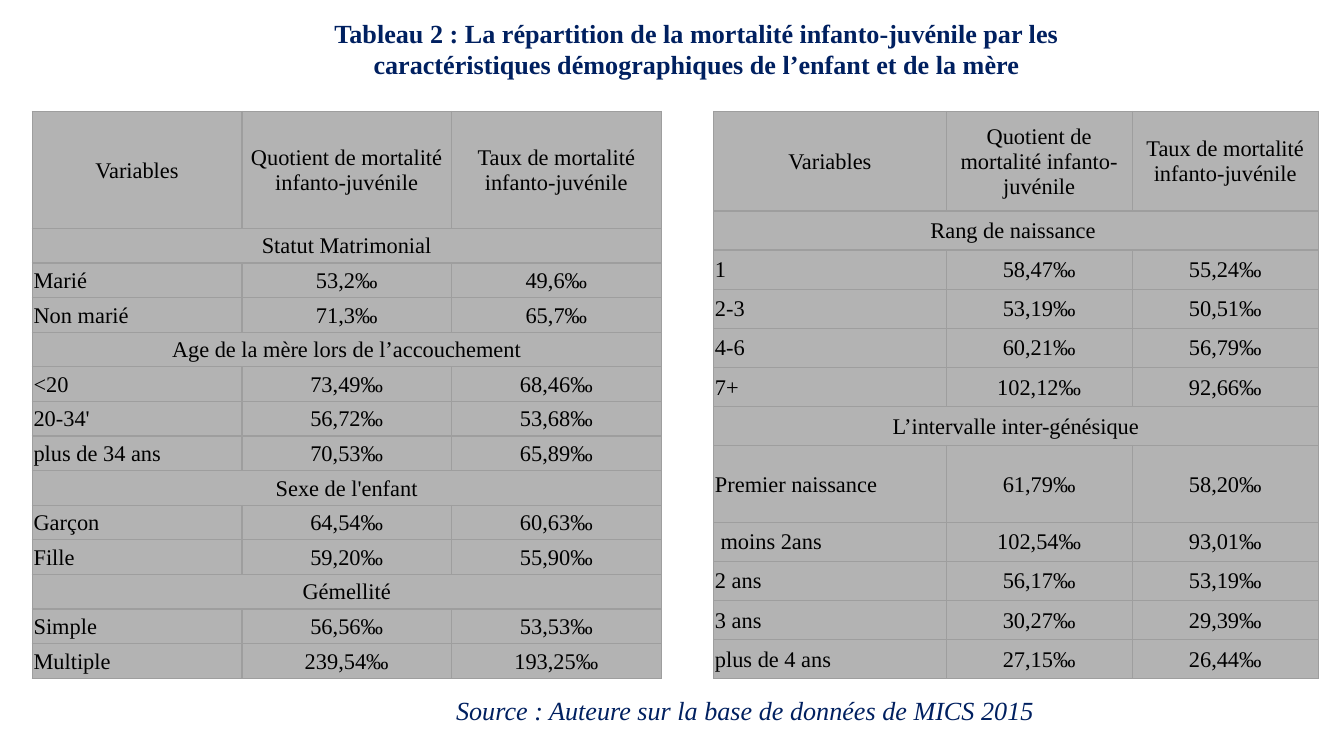
"""Build the slide of infant and child mortality tables."""
import pptx
import pptx.dml.color
import pptx.enum.text
import pptx.oxml
import pptx.oxml.ns
import pptx.util

Inches, Pt = pptx.util.Inches, pptx.util.Pt
RGBColor = pptx.dml.color.RGBColor
ALIGN = pptx.enum.text.PP_ALIGN
MIDDLE = pptx.enum.text.MSO_ANCHOR.MIDDLE

NAVY = RGBColor(0x00, 0x20, 0x60)
BLACK = RGBColor(0, 0, 0)
GREY = RGBColor(0xB3, 0xB3, 0xB3)
EDGE = RGBColor(0x9E, 0x9E, 0x9E)
FONT = "Times New Roman"

TITLE = ("Tableau 2 : La répartition de la mortalité infanto-juvénile par les "
         "caractéristiques démographiques de l’enfant et de la mère")
SOURCE = "Source : Auteure sur la base de données de MICS 2015"
HEAD = ("Variables", "Quotient de mortalité infanto-juvénile",
        "Taux de mortalité infanto-juvénile")
MOTHER = [
    HEAD,
    ("Statut Matrimonial",),
    ("Marié", "53,2‰", "49,6‰"),
    ("Non marié", "71,3‰", "65,7‰"),
    ("Age de la mère lors de l’accouchement",),
    ("<20", "73,49‰", "68,46‰"),
    ("20-34'", "56,72‰", "53,68‰"),
    ("plus de 34 ans", "70,53‰", "65,89‰"),
    ("Sexe de l'enfant",),
    ("Garçon", "64,54‰", "60,63‰"),
    ("Fille", "59,20‰", "55,90‰"),
    ("Gémellité",),
    ("Simple", "56,56‰", "53,53‰"),
    ("Multiple", "239,54‰", "193,25‰"),
]
BIRTH = [
    HEAD,
    ("Rang de naissance ",),
    ("1", "58,47‰", "55,24‰"),
    ("2-3", "53,19‰", "50,51‰"),
    ("4-6", "60,21‰", "56,79‰"),
    ("7+", "102,12‰", "92,66‰"),
    ("L’intervalle inter-génésique",),
    ("Premier naissance", "61,79‰", "58,20‰"),
    (" moins 2ans", "102,54‰", "93,01‰"),
    ("2 ans", "56,17‰", "53,19‰"),
    ("3 ans", "30,27‰", "29,39‰"),
    ("plus de 4 ans", "27,15‰", "26,44‰"),
]
TOP, HIGH = 0.83, 4.22
TABLES = [
    {"rows": MOTHER, "left": 0.24, "wide": 4.68, "first": 1.56, "tall": {0: 0.87}},
    {"rows": BIRTH, "left": 5.31, "wide": 4.5, "first": 1.73, "tall": {0: 0.74, 7: 0.57}},
]


def write(para, text, size, color, align):
    para.text = text
    para.alignment = align
    font = para.font
    font.name, font.size, font.color.rgb = FONT, Pt(size), color
    return para


def add_text(slide, box, text):
    frame = slide.shapes.add_textbox(*map(Inches, box)).text_frame
    frame.word_wrap = True
    return frame, write(frame.paragraphs[0], text, 14, NAVY, ALIGN.CENTER)


def style_cell(cell):
    cell.vertical_anchor = MIDDLE
    cell.margin_left = cell.margin_right = cell.margin_top = Inches(0.01)
    cell.margin_bottom = 0
    props = cell._tc.get_or_add_tcPr()
    for side in "LRTB":
        props.append(pptx.oxml.parse_xml(
            f'<a:ln{side} {pptx.oxml.ns.nsdecls("a")} w="{Pt(0.75)}"><a:solidFill>'
            f'<a:srgbClr val="{EDGE}"/></a:solidFill></a:ln{side}>'))
    cell.fill.solid()
    cell.fill.fore_color.rgb = GREY


def add_grid(slide, rows, left, wide, first, tall):
    count = len(HEAD)
    grid = slide.shapes.add_table(
        len(rows), count, Inches(left), Inches(TOP),
        Inches(wide), Inches(HIGH)).table
    rest = (wide - first) / (count - 1)
    for c, col in enumerate(grid.columns):
        col.width = Inches(rest if c else first)
    base = (HIGH - sum(tall.values())) / (len(rows) - len(tall))
    for r, row in enumerate(rows):
        grid.rows[r].height = Inches(tall.get(r, base))
        for c in range(count):
            style_cell(grid.cell(r, c))
        if len(row) == 1:
            grid.cell(r, 0).merge(grid.cell(r, count - 1))
        for c, text in enumerate(row):
            label = c == 0 and r > 0 and len(row) > 1
            align = ALIGN.JUSTIFY if label else ALIGN.CENTER
            write(grid.cell(r, c).text_frame.paragraphs[0], text, 12, BLACK, align)


def main():
    deck = pptx.Presentation()
    deck.slide_width = Inches(10)
    deck.slide_height = deck.slide_width * 9 // 16
    slide = deck.slides.add_slide(deck.slide_layouts[6])

    frame, para = add_text(slide, (2.48, 5, 5.38, 0.45), SOURCE)
    frame.auto_size = pptx.enum.text.MSO_AUTO_SIZE.SHAPE_TO_FIT_TEXT
    para.font.italic = True
    para.line_spacing = 1.5
    para._p.get_or_add_pPr().set("marL", str(Inches(0.75)))

    frame, para = add_text(slide, (2.32, -0.11, 5.73, 0.94), TITLE)
    frame.vertical_anchor = MIDDLE
    para.font.bold = True

    for table in TABLES:
        add_grid(slide, **table)
    deck.save("out.pptx")


if __name__ == "__main__":
    main()
